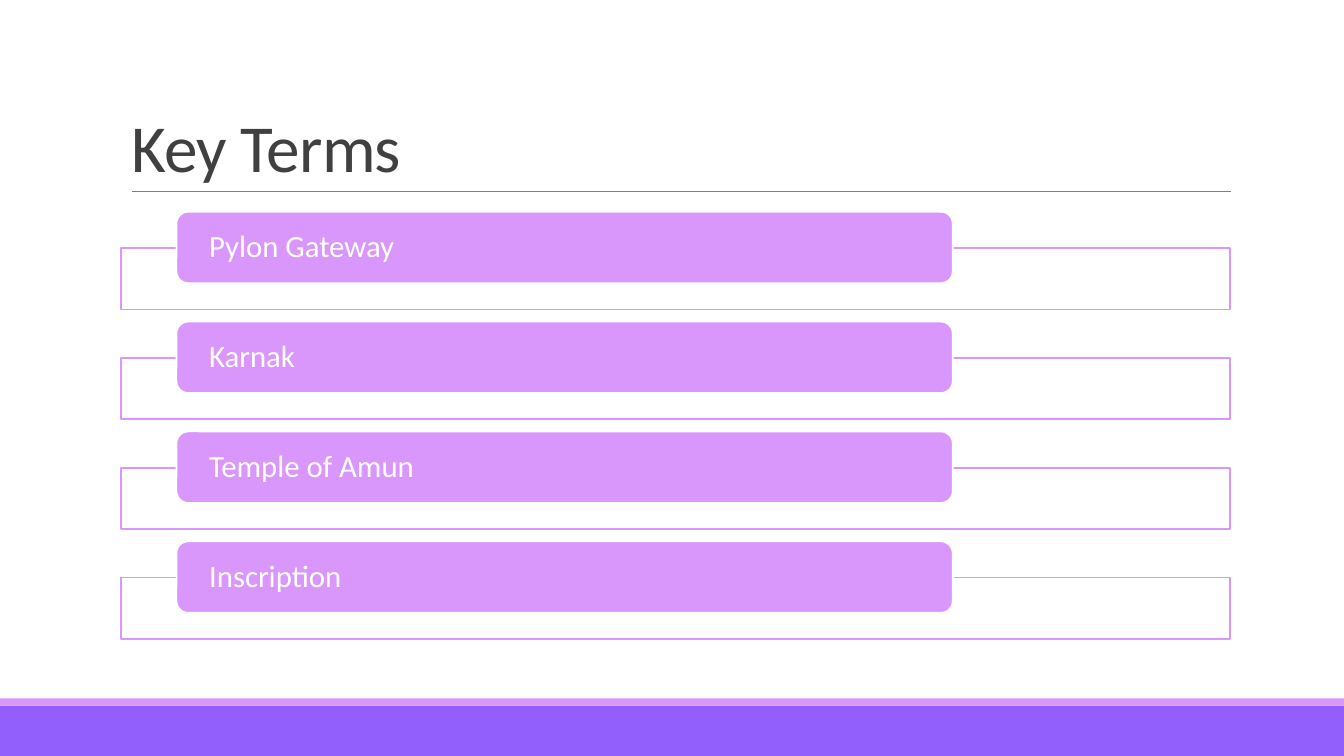
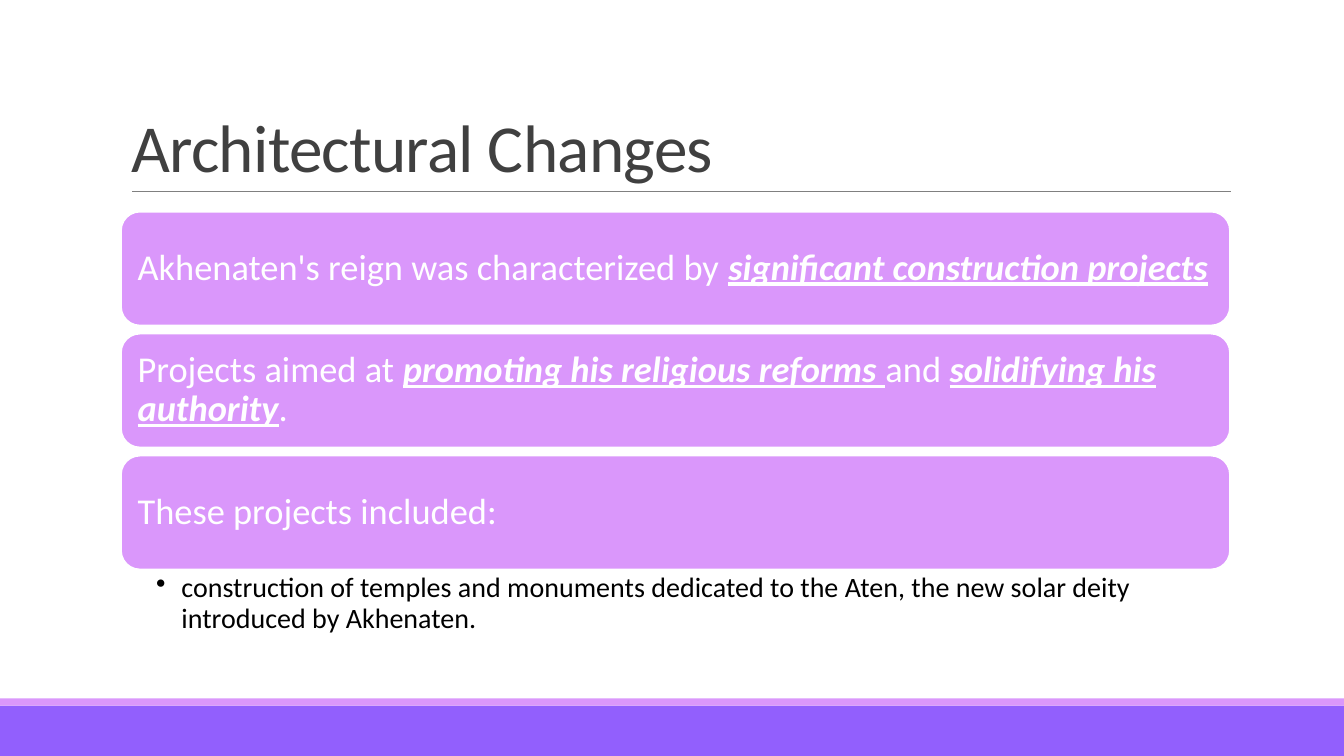
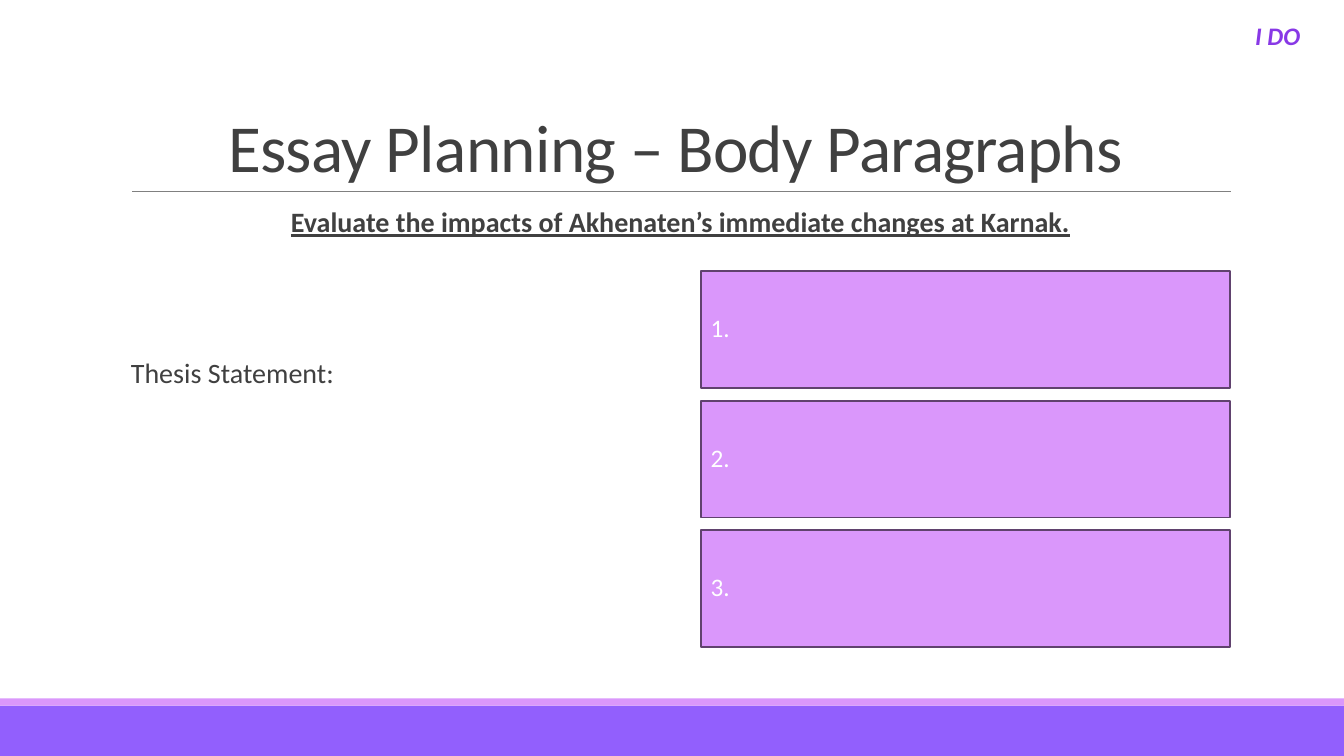
"""Build three lesson slides about Akhenaten's building works at Karnak."""
from lxml import etree
from pptx import Presentation
from pptx import util as u
from pptx.dml.color import RGBColor
from pptx.enum import shapes, text
from pptx.oxml.ns import qn

PX = 9144
WIDTH, HEIGHT = 1333, 750
LEFT, CONTENT_W = 120, 1100
FONT = "Calibri"
WHITE = RGBColor(0xFF, 0xFF, 0xFF)
BLACK = RGBColor(0x00, 0x00, 0x00)
INK = RGBColor(0x40, 0x40, 0x40)
RULE = RGBColor(0x80, 0x80, 0x80)
VIOLET = RGBColor(0x92, 0x5F, 0xFD)
LILAC = RGBColor(0xDA, 0x97, 0xFB)
PLUM = RGBColor(0x60, 0x42, 0x6E)
PURPLE = RGBColor(0x88, 0x38, 0xE6)
RECT = shapes.MSO_SHAPE.RECTANGLE
ROUND = shapes.MSO_SHAPE.ROUNDED_RECTANGLE
ALIGN = text.PP_ALIGN
MIDDLE = text.MSO_ANCHOR.MIDDLE


def px(*lengths):
    return [u.Emu(round(n * PX)) for n in lengths]


def style(p, size, colour, align=ALIGN.LEFT, spacing=0.9):
    p.alignment, p.line_spacing = align, spacing
    p.space_before = p.space_after = u.Pt(0)
    for r in p.runs:
        r.font.name, r.font.size = FONT, u.Pt(size)
        r.font.color.rgb = colour


def inset(tf, left, top, right, bottom):
    tf.margin_left, tf.margin_top, tf.margin_right, tf.margin_bottom = px(
        left, top, right, bottom)


def add_block(s, box, fill, line=None, kind=RECT):
    sp = s.shapes.add_shape(kind, *px(*box))
    sp.shadow.inherit = False
    sp.fill.solid()
    sp.fill.fore_color.rgb = fill
    if line is None:
        sp.line.fill.background()
    else:
        sp.line.color.rgb, sp.line.width = line, u.Pt(1.25)
    return sp


def add_label(s, box, pieces, size, line, kind, margins):
    """Add a lilac block whose every second text piece is emphasised."""
    tf = add_block(s, box, LILAC, line, kind).text_frame
    tf.word_wrap, tf.vertical_anchor = True, MIDDLE
    inset(tf, *margins)
    p = tf.paragraphs[0]
    for i, piece in enumerate(pieces):
        r = p.add_run()
        r.text = piece
        if i % 2:
            r.font.bold = r.font.italic = r.font.underline = True
    style(p, size, WHITE)


def add_text(s, box, lines, margins):
    tf = s.shapes.add_textbox(*px(*box)).text_frame
    tf.word_wrap = True
    inset(tf, *margins)
    tf.text = "\n".join(lines)
    return tf.paragraphs


def add_bullet(p, indent):
    pr = p._p.get_or_add_pPr()
    pr.set("marL", str(indent * PX))
    pr.set("indent", str(-indent * PX))
    etree.SubElement(pr, qn("a:buChar")).set("char", "•")


def add_rule(s, x1, x2, y):
    line = s.shapes.add_connector(shapes.MSO_CONNECTOR.STRAIGHT, *px(x1, y, x2, y))
    line.line.color.rgb, line.line.width = RULE, u.Pt(0.5)
    etree.SubElement(line.element.spPr, qn("a:effectLst"))


def new_slide(prs, heading, align=ALIGN.LEFT):
    s = prs.slides.add_slide(prs.slide_layouts[5])
    add_block(s, (0, 700, WIDTH, 50), VIOLET)
    add_block(s, (0, 693, WIDTH, 7), LILAC)
    add_rule(s, 131, 1221, 190)
    title = s.shapes.title
    title.left, title.top, title.width, title.height = px(LEFT, 31, CONTENT_W, 159)
    tf = title.text_frame
    tf.text = heading
    tf.auto_size = text.MSO_AUTO_SIZE.NONE
    tf.word_wrap, tf.vertical_anchor = True, text.MSO_ANCHOR.BOTTOM
    p = tf.paragraphs[0]
    style(p, 48, INK, align, 0.85)
    p.runs[0].font._element.set("spc", "-50")
    return s


def key_terms(prs):
    s = new_slide(prs, "Key Terms")
    terms = ["Pylon Gateway", "Karnak", "Temple of Amun", "Inscription"]
    for i, term in enumerate(terms):
        top = 210 + 109 * i
        add_block(s, (LEFT, top + 36, CONTENT_W, 61), WHITE, LILAC)
        add_label(s, (175, top, 770, 71), [term], 22, WHITE, ROUND, (29, 0, 29, 0))


def architectural_changes(prs):
    s = new_slide(prs, "Architectural Changes")
    points = [
        ["Akhenaten's reign was characterized by ", "significant construction projects"],
        ["Projects aimed at ", "promoting his religious reforms ", "and ",
         "solidifying his authority", "."],
        ["These projects included:"],
    ]
    for i, pieces in enumerate(points):
        box = (LEFT, 210 + 121 * i, CONTENT_W, 113)
        add_label(s, box, pieces, 26, WHITE, ROUND, (11, 11, 11, 11))
    p, = add_text(s, (LEFT, 565, CONTENT_W, 69), [
        "construction of temples and monuments dedicated to the Aten, "
        "the new solar deity introduced by Akhenaten."], (35, 4, 20, 4))
    add_bullet(p, 25)
    style(p, 20, BLACK)


def essay_planning(prs):
    s = new_slide(prs, "Essay Planning – Body Paragraphs", ALIGN.CENTER)
    question, thesis = add_text(s, (LEFT, 202, CONTENT_W, 440), [
        "Evaluate the impacts of Akhenaten’s immediate changes at Karnak.",
        "Thesis Statement:"], (10, 5, 0, 5))
    style(question, 20, INK, ALIGN.CENTER)
    question.runs[0].font.bold = question.runs[0].font.underline = True
    style(thesis, 20, INK)
    thesis.space_before = u.Pt(86)
    tag, = add_text(s, (1155, 15, 150, 40), ["I DO "], (10, 5, 10, 5))
    style(tag, 18, PURPLE, ALIGN.RIGHT, 1.0)
    tag.runs[0].font.bold = tag.runs[0].font.italic = True
    for i in range(3):
        box = (695, 269 + 128.5 * i, 525, 116)
        add_label(s, box, [f"{i + 1}."], 18, PLUM, RECT, (10, 5, 10, 5))


def main():
    prs = Presentation()
    prs.slide_width, prs.slide_height = px(WIDTH, HEIGHT)
    key_terms(prs)
    architectural_changes(prs)
    essay_planning(prs)
    prs.save("out.pptx")


if __name__ == "__main__":
    main()
